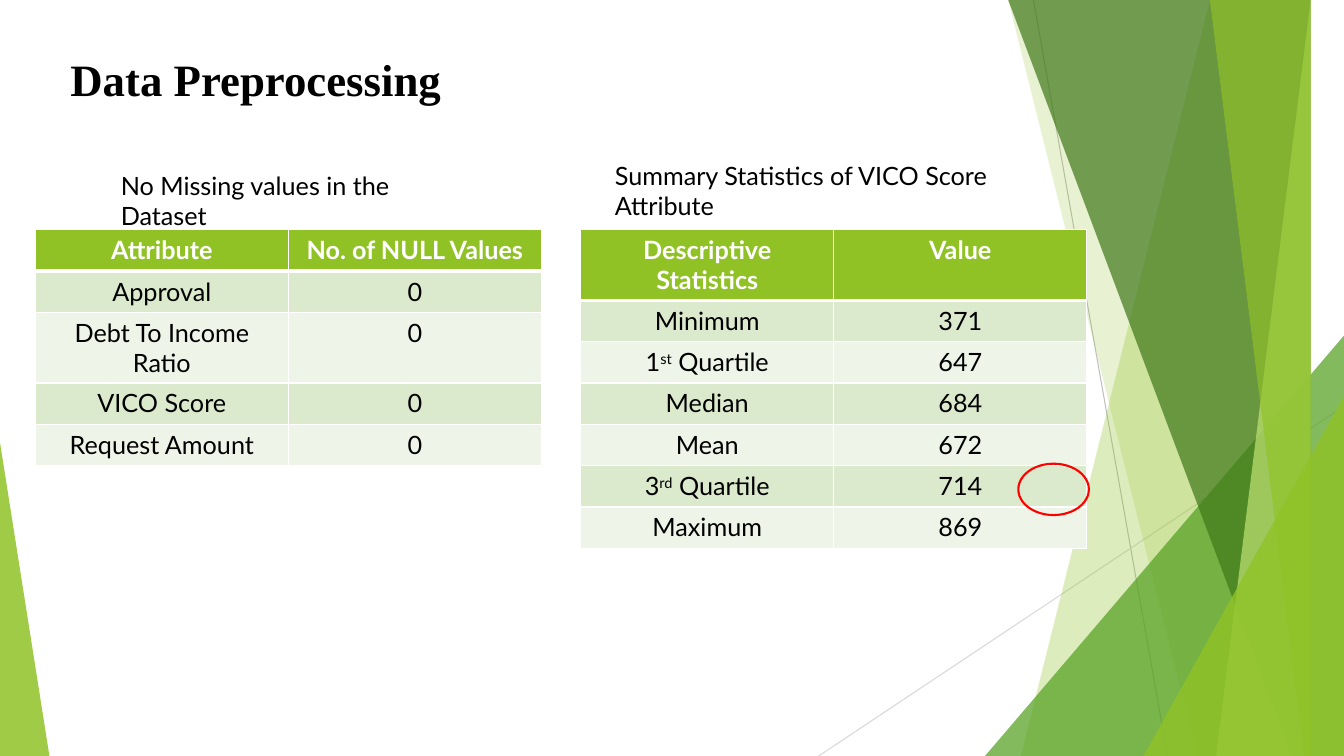
from lxml import etree
from pptx import Presentation
from pptx.dml.color import RGBColor
from pptx.enum.shapes import MSO_CONNECTOR, MSO_SHAPE
from pptx.enum.text import PP_ALIGN
from pptx.oxml.ns import qn
from pptx.util import Inches, Pt

STRAIGHT = MSO_CONNECTOR.STRAIGHT
TRIANGLE, OVAL = MSO_SHAPE.ISOSCELES_TRIANGLE, MSO_SHAPE.OVAL
CENTER = PP_ALIGN.CENTER

THEME = {
    "green": "90C226", "mid": "54A021", "dark": "3F7819", "lime": "C0E474",
    "band": ("DBE9CD", "EEF4E8"), "white": "FFFFFF", "black": "000000",
    "red": "FF0000", "steep_line": "BFBFBF", "low_line": "D9D9D9",
    "title_font": "Times New Roman", "body_font": "Lato",
    "title_size": 32, "body_size": 18,
}
TITLE = {"name": THEME["title_font"], "size": Pt(THEME["title_size"]), "bold": True}
BODY = {"name": THEME["body_font"], "size": Pt(THEME["body_size"]), "bold": False}
HEADER = {**BODY, "bold": True}


def write(p, text, style, color):
    for i, part in enumerate(text.split("^")):
        r = p.add_run()
        r.text = part
        for key, value in style.items():
            setattr(r.font, key, value)
        r.font.color.rgb = RGBColor.from_string(color)
        if i % 2:
            r._r.get_or_add_rPr().set("baseline", "30000")


def paint(sp, color, opacity):
    sp.shadow.inherit = False
    sp.line.fill.background()
    sp.fill.solid()
    sp.fill.fore_color.rgb = RGBColor.from_string(color)
    clr = sp._element.spPr.find(qn("a:solidFill"))[0]
    etree.SubElement(clr, qn("a:alpha")).set("val", str(opacity * 1000))


prs = Presentation()
prs.slide_width, prs.slide_height = Inches(13.33), Inches(7.5)
s = prs.slides.add_slide(prs.slide_layouts[6])

RIGHT, TOP, BOTTOM = 13.33, -0.01, 7.5

for x1, y1, x2, y2, color in [
    (10.25, 0, 11.58, BOTTOM, THEME["steep_line"]),
    (RIGHT, 4.03, 8.12, BOTTOM, THEME["low_line"]),
]:
    line = s.shapes.add_connector(STRAIGHT, Inches(x1), Inches(y1), Inches(x2), Inches(y2))
    line.line.color.rgb = RGBColor.from_string(color)
    line.line.width = Pt(0.75)
    etree.SubElement(line._element.spPr, qn("a:effectLst"))

facets = [
    ("blade", (12.28, 10.04), "green", 30),
    ("blade", (10.5, 11.83), "green", 20),
    ("triangle", (9.77, 3.33, 3.56, 1), "mid", 72),
    ("blade", (10.21, 12.91), "dark", 70),
    ("blade", (13.03, 11.92), "lime", 70),
    ("blade", (11.96, 13.18), "green", 65),
    ("triangle", (11.34, 3.93, 1.99, 1), "green", 80),
    ("triangle", (0, 4.39, 0.49, 0), "green", 85),
]
for kind, geometry, color, opacity in facets:
    if kind == "blade":
        top_x, bottom_x = geometry
        outline = s.shapes.build_freeform(top_x, TOP, scale=Inches(1))
        outline.add_line_segments([(RIGHT, TOP), (RIGHT, BOTTOM), (bottom_x, BOTTOM)])
        sp = outline.convert_to_shape()
    else:
        x, y, w, apex = geometry
        sp = s.shapes.add_shape(TRIANGLE, Inches(x), Inches(y), Inches(w), Inches(BOTTOM - y))
        sp.adjustments[0] = apex
    paint(sp, THEME[color], opacity)

for x, y, w, h, text, style in [
    (0.6, 0.46, 5.4, 0.64, "Data Preprocessing", TITLE),
    (1.1, 1.64, 3.53, 0.4, "No Missing values in the Dataset", BODY),
    (6, 1.54, 4.52, 0.4, "Summary Statistics of VICO Score Attribute", BODY),
]:
    tf = s.shapes.add_textbox(Inches(x), Inches(y), Inches(w), Inches(h)).text_frame
    tf.word_wrap = True
    write(tf.paragraphs[0], text, style, THEME["black"])

null_counts = [
    ("Attribute", "No. of NULL Values"),
    ("Approval", "0"),
    ("Debt To Income Ratio", "0"),
    ("VICO Score", "0"),
    ("Request Amount", "0"),
]
score_summary = [
    ("Descriptive Statistics", "Value"),
    ("Minimum", "371"),
    ("1^st^ Quartile", "647"),
    ("Median", "684"),
    ("Mean", "672"),
    ("3^rd^ Quartile", "714"),
    ("Maximum", "869"),
]
COL_W, ROW_H = 2.51, 0.41
for x, rows in [(5.76, score_summary), (0.35, null_counts)]:
    table = s.shapes.add_table(len(rows), 2, Inches(x), Inches(2.28),
                               Inches(2 * COL_W), Inches(ROW_H * len(rows))).table
    for row in table.rows:
        row.height = Inches(ROW_H)
    for i, row in enumerate(rows):
        fill = THEME["band"][(i - 1) % 2] if i else THEME["green"]
        style, color = (BODY, THEME["black"]) if i else (HEADER, THEME["white"])
        for j, text in enumerate(row):
            cell = table.cell(i, j)
            tcPr = cell._tc.get_or_add_tcPr()
            for side in "LRTB":
                thick = (side, i) in (("B", 0), ("T", 1))
                ln = etree.SubElement(tcPr, qn(f"a:ln{side}"), w=str(Pt(3 if thick else 1)))
                solid = etree.SubElement(ln, qn("a:solidFill"))
                etree.SubElement(solid, qn("a:srgbClr"), val=THEME["white"])
            cell.fill.solid()
            cell.fill.fore_color.rgb = RGBColor.from_string(fill)
            p = cell.text_frame.paragraphs[0]
            p.alignment = CENTER
            write(p, text, style, color)

ring = s.shapes.add_shape(OVAL, Inches(10.1), Inches(4.6), Inches(0.7), Inches(0.51))
ring.shadow.inherit = False
ring.fill.background()
ring.line.color.rgb = RGBColor.from_string(THEME["red"])
ring.line.width = Pt(1.5)

prs.save("out.pptx")
